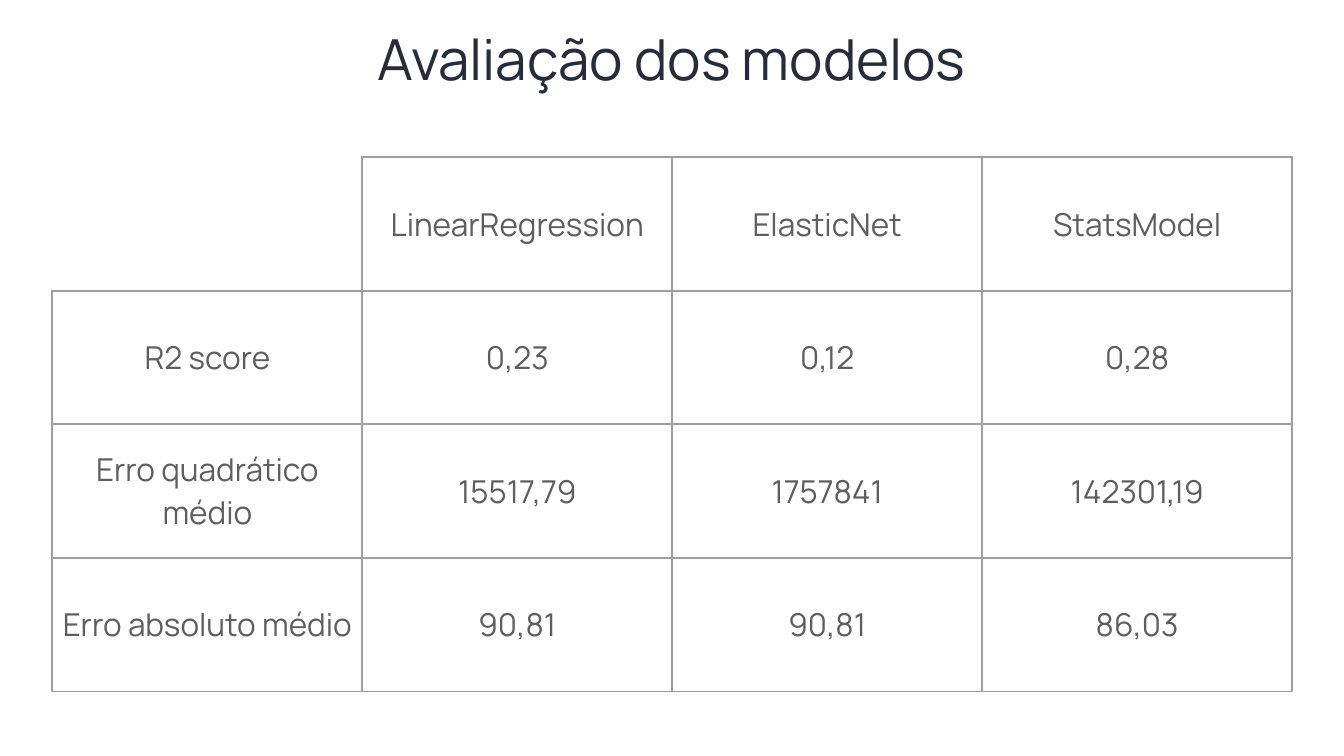
from lxml import etree
from pptx import Presentation
from pptx import util as u
from pptx.dml.color import RGBColor
from pptx.enum import text
from pptx.oxml.ns import qn

SCALE = 9144  # EMU per px, 100 px to the inch
FONT = "Manrope"
INK, GREY, LINE = "262C3D", "5E5E5E", "9E9E9E"
ROWS = [
    ["", "LinearRegression", "ElasticNet", "StatsModel"],
    ["R2 score", "0,23", "0,12", "0,28"],
    ["Erro quadrático médio", "15517,79", "1757841", "142301,19"],
    ["Erro absoluto médio", "90,81", "90,81", "86,03"],
]


def px(n):
    return u.Emu(n * SCALE)


def color(code):
    return RGBColor.from_string(code)


def style(par, size, code):
    par.alignment = text.PP_ALIGN.CENTER
    par.font.name = FONT
    par.font.size = u.Pt(size)
    par.font.color.rgb = color(code)


def pad(box, gap):
    box.margin_left = box.margin_right = px(gap)
    box.margin_top = box.margin_bottom = px(gap)


def border(cell, sides):
    """Draw the given sides (of L, R, T, B) and clear the others."""
    props = cell._tc.get_or_add_tcPr()
    for i, side in enumerate("LRTB"):
        line = etree.Element(qn("a:ln" + side), w=str(u.Pt(3)))
        if side in sides:
            fill = etree.SubElement(line, qn("a:solidFill"))
            etree.SubElement(fill, qn("a:srgbClr"), val=LINE)
        else:
            etree.SubElement(line, qn("a:noFill"))
        props.insert(i, line)


def add_title(slide, words, x, y, w, h):
    title = slide.shapes.title
    title.left, title.top, title.width, title.height = map(px, (x, y, w, h))
    frame = title.text_frame
    frame.text = words
    frame.word_wrap = True
    frame.auto_size = text.MSO_AUTO_SIZE.NONE
    frame.vertical_anchor = text.MSO_ANCHOR.TOP
    pad(frame, 6)
    par = frame.paragraphs[0]
    style(par, 80.8, INK)
    par.line_spacing = 0.8
    par.space_before = u.Pt(0)


def add_scores(slide, rows, x, y, w, h):
    count, wide = len(rows), len(rows[0])
    table = slide.shapes.add_table(count, wide, *map(px, (x, y, w, h))).table
    table.first_row = table.horz_banding = False
    for col in table.columns:
        col.width = px(w // wide)
    for r, row in enumerate(rows):
        table.rows[r].height = px(h // count)
        for c, words in enumerate(row):
            cell = table.cell(r, c)
            cell.fill.background()
            cell.vertical_anchor = text.MSO_ANCHOR.MIDDLE
            pad(cell, 10)
            border(cell, "LRTB" if words else "RB")
            if words:
                cell.text = words
                style(cell.text_frame.paragraphs[0], 45, GREY)


def main():
    deck = Presentation()
    deck.slide_width, deck.slide_height = px(2667), px(1500)
    slide = deck.slides.add_slide(deck.slide_layouts[5])
    add_scores(slide, ROWS, 104, 312, 2460, 1060)
    add_title(slide, "Avaliação dos modelos", 609, 67, 1448, 157)
    deck.save("out.pptx")


if __name__ == "__main__":
    main()
